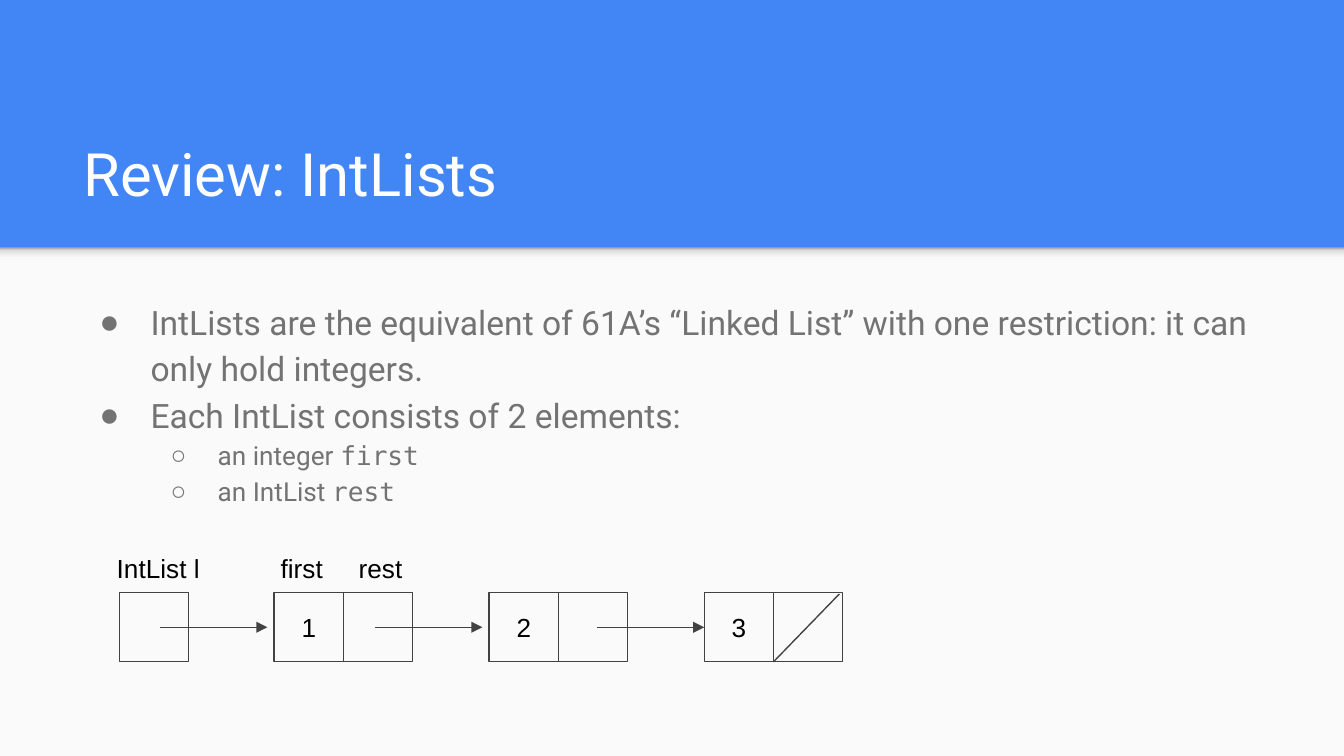
from lxml import etree
from pptx import Presentation
from pptx.dml.color import RGBColor
from pptx.enum.shapes import MSO_CONNECTOR as Connector, MSO_SHAPE as Shape
from pptx.enum.text import MSO_ANCHOR as Anchor, MSO_AUTO_SIZE as AutoSize, PP_ALIGN as Align
from pptx.oxml.ns import qn
from pptx.util import Inches, Pt

COLORS = {"header": "4285F4", "panel": "FAFAFA", "body": "737373",
          "title": "FFFFFF", "line": "424242", "label": "000000"}
SHADE_STOPS = [(0, "F9F9F9"), (36, "F9F9F9"), (80, "DEDEDE"), (100, "999999")]
SANS, MONO, PLAIN = "Roboto", "DejaVu Sans Mono", "Arial"

TITLE = "Review: IntLists"
# Each bullet: level, then (text, font) spans
BULLETS = [
    (0, [("IntLists are the equivalent of 61A’s “Linked List” with one "
          "restriction: it can only hold integers.", SANS)]),
    (0, [("Each IntList consists of 2 elements:", SANS)]),
    (1, [("an integer ", SANS), ("first", MONO)]),
    (1, [("an IntList ", SANS), ("rest", MONO)]),
]
# Each level: left margin, hanging indent, text size, mark
LEVELS = [(0.5, 0.38, 18, "●"), (1, 0.35, 14, "○")]
LABELS = "IntList l\tfirst\trest"
LABEL_TABS = [1.22, 1.8]
NODES = ["1", "2", "3"]

WIDTH = 10
HEIGHT = WIDTH * 9 / 16
HEADER_HEIGHT = 1.84
MARGIN, TEXT_WIDTH = 0.52, 8.99
NODE_WIDTH, NODE_LEFT, NODE_PITCH = 1.03, 2.04, 1.6
CELL, CELL_TOP = NODE_WIDTH / 2, 4.41
POINTER_LEFT = 0.89
ARROW_STARTS, ARROW_LENGTH = [1.19, 2.79, 4.44], 0.8


def rgb(name):
    return RGBColor.from_string(COLORS[name])


def inches(*lengths):
    return [Inches(length) for length in lengths]


def add_span(para, text, font, size, color):
    span = para.add_run()
    span.text = text
    for key, value in {"name": font, "size": Pt(size)}.items():
        setattr(span.font, key, value)
    span.font.color.rgb = rgb(color)


def format_frame(frame, anchor):
    settings = {"word_wrap": True, "auto_size": AutoSize.NONE, "vertical_anchor": anchor}
    for side in ("left", "right", "top", "bottom"):
        settings[f"margin_{side}"] = Inches(0.1)
    for key, value in settings.items():
        setattr(frame, key, value)


def place(shape, *box):
    for key, value in zip(("left", "top", "width", "height"), inches(*box)):
        setattr(shape, key, value)


def add_rectangle(page, *box):
    shape = page.shapes.add_shape(Shape.RECTANGLE, *inches(*box))
    shape.shadow.inherit = False
    return shape


def add_background(page):
    page.background.fill.solid()
    page.background.fill.fore_color.rgb = rgb("header")
    panel = add_rectangle(page, 0, HEADER_HEIGHT, WIDTH, HEIGHT - HEADER_HEIGHT)
    panel.fill.solid()
    panel.fill.fore_color.rgb = rgb("panel")
    shade = add_rectangle(page, 0, HEADER_HEIGHT, WIDTH, 0.12)
    shade.fill.gradient()
    shade.fill.gradient_angle = 90
    stops = shade.element.spPr.find(".//" + qn("a:gsLst"))
    for stop in list(stops):
        stops.remove(stop)
    for position, color in SHADE_STOPS:
        stop = etree.SubElement(stops, qn("a:gs"), pos=str(position * 1000))
        etree.SubElement(stop, qn("a:srgbClr"), val=color)
    tree = page.shapes.element
    for order, shape in enumerate((panel, shade)):
        shape.line.fill.background()
        tree.insert(2 + order, shape.element)


def add_bullet(para, level):
    margin, hang, _, mark = LEVELS[level]
    para.level = level
    props = para._p.get_or_add_pPr()
    props.set("marL", str(Inches(margin)))
    props.set("indent", str(-Inches(hang)))
    color = etree.SubElement(props, qn("a:buClr"))
    etree.SubElement(color, qn("a:srgbClr"), val=COLORS["body"])
    etree.SubElement(props, qn("a:buFont"), typeface=PLAIN)
    etree.SubElement(props, qn("a:buChar"), char=mark)
    para.line_spacing = 1.15
    para.space_before = Pt(0)


def fill_text(page):
    title, body = page.placeholders
    place(title, MARGIN, 0.81, TEXT_WIDTH, 0.84)
    format_frame(title.text_frame, Anchor.BOTTOM)
    heading = title.text_frame.paragraphs[0]
    heading.alignment = Align.LEFT
    add_span(heading, TITLE, SANS, 32, "title")

    place(body, MARGIN, 2.1, TEXT_WIDTH, 1.91)
    frame = body.text_frame
    format_frame(frame, Anchor.TOP)
    for index, (level, spans) in enumerate(BULLETS):
        para = frame.add_paragraph() if index else frame.paragraphs[0]
        add_bullet(para, level)
        for text, font in spans:
            add_span(para, text, font, LEVELS[level][2], "body")


def add_cell(page, left, text=""):
    cell = add_rectangle(page, left, CELL_TOP, CELL, CELL)
    cell.fill.background()
    cell.line.color.rgb = rgb("line")
    cell.line.width = Pt(0.75)
    if text:
        format_frame(cell.text_frame, Anchor.MIDDLE)
        para = cell.text_frame.paragraphs[0]
        para.alignment = Align.CENTER
        add_span(para, text, PLAIN, 14, "label")


def add_line(page, *ends, arrow=False):
    line = page.shapes.add_connector(Connector.STRAIGHT, *inches(*ends))
    line.line.color.rgb = rgb("line")
    line.line.width = Pt(0.75)
    props = line.element.spPr
    if arrow:
        etree.SubElement(props.find(qn("a:ln")), qn("a:tailEnd"), type="triangle")
    etree.SubElement(props, qn("a:effectLst"))


def add_labels(page):
    box = page.shapes.add_textbox(*inches(0.77, 4.01, 5.49, 0.3))
    format_frame(box.text_frame, Anchor.TOP)
    para = box.text_frame.paragraphs[0]
    tabs = etree.SubElement(para._p.get_or_add_pPr(), qn("a:tabLst"))
    for position in LABEL_TABS:
        etree.SubElement(tabs, qn("a:tab"), pos=str(Inches(position)), algn="l")
    add_span(para, LABELS, PLAIN, 14, "label")


def add_linked_list(page):
    add_cell(page, POINTER_LEFT)
    for index, value in enumerate(NODES):
        left = NODE_LEFT + index * NODE_PITCH
        add_cell(page, left, value)
        add_cell(page, left + CELL)
    add_labels(page)
    middle = CELL_TOP + CELL / 2
    for start in ARROW_STARTS:
        add_line(page, start, middle, start + ARROW_LENGTH, middle, arrow=True)
    last = NODE_LEFT + (len(NODES) - 1) * NODE_PITCH + CELL
    add_line(page, last + 0.49, CELL_TOP + 0.01, last, CELL_TOP + CELL)


def main():
    deck = Presentation()
    deck.slide_width, deck.slide_height = inches(WIDTH, HEIGHT)
    page = deck.slides.add_slide(deck.slide_layouts[1])
    add_background(page)
    fill_text(page)
    add_linked_list(page)
    deck.save("out.pptx")


if __name__ == "__main__":
    main()
